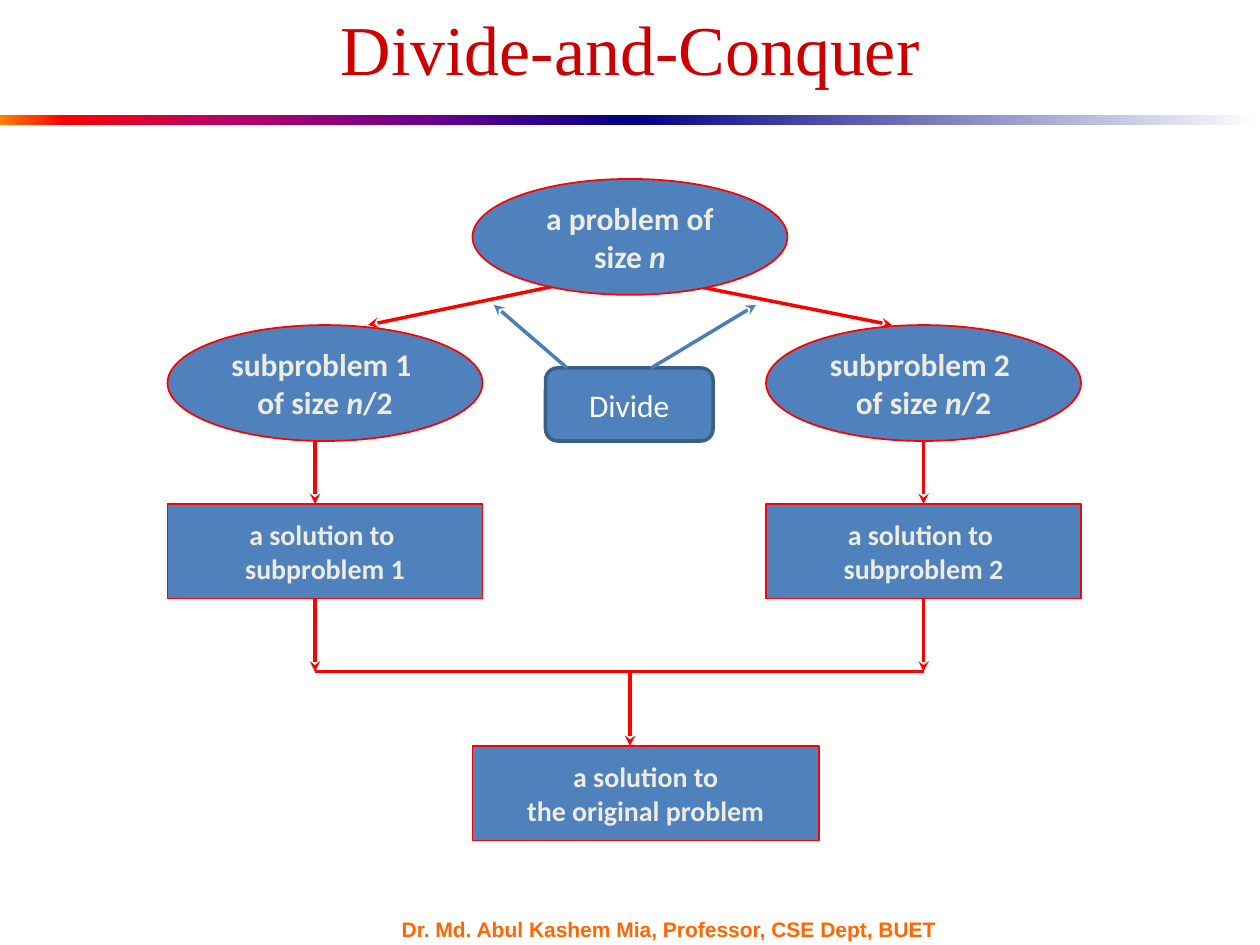
"""Build the Divide-and-Conquer flow slide."""
from dataclasses import dataclass

from lxml.etree import SubElement
from pptx import Presentation
from pptx.dml.color import RGBColor as Rgb
from pptx.enum.shapes import MSO_CONNECTOR as Link, MSO_SHAPE as Kind
from pptx.enum.text import MSO_ANCHOR as Anchor, PP_ALIGN as Align
from pptx.oxml.ns import qn
from pptx.util import Inches, Pt


@dataclass
class Theme:
    red: str = "FF0000"
    blue: str = "4F81BD"
    edge: str = "395E89"
    arrow: str = "4A7DBA"
    cream: str = "EEECE1"
    white: str = "FFFFFF"
    title: str = "CC0000"
    foot: str = "FF6600"
    head_size: int = 40
    big: int = 18
    mid: int = 16
    small: int = 12


theme = Theme()
deck = Presentation()
deck.slide_width, deck.slide_height = Inches(10), Inches(7.5)
shapes = deck.slides.add_slide(deck.slide_layouts[6]).shapes


def write(shape, text, face, size, color, bold, align=Align.CENTER, anchor=Anchor.MIDDLE):
    """Fill a shape with lines of text; words between stars are italic."""
    frame = shape.text_frame
    frame.word_wrap = True
    frame.vertical_anchor = anchor
    for i, line in enumerate(text.split("\n")):
        para = frame.add_paragraph() if i else frame.paragraphs[0]
        para.alignment = align
        font = para.font
        font.name, font.size, font.bold = face, Pt(size), bold
        font.color.rgb = Rgb.from_string(color)
        for j, part in enumerate(line.split("*")):
            run = para.add_run()
            run.text = part
            if j % 2:
                run.font.italic = True


def join(start, end, color=theme.red, head=True):
    """Draw a line from start to end, with an arrowhead if wanted."""
    line = shapes.add_connector(Link.STRAIGHT, *map(Inches, start + end))
    line.line.color.rgb = Rgb.from_string(color)
    line.line.width = Pt(2)
    props = line._element.spPr
    if head:
        SubElement(props.find(qn("a:ln")), qn("a:tailEnd"), type="stealth")
    SubElement(props, qn("a:effectLst"))


bars = [
    (0, [(0, "FF8200"), (10, "FF0000"), (35, "BA0066"), (70, "66008F"), (100, "000082")]),
    (5, [(0, "000082"), (100, "FFFFFF")]),
]
for left, stops in bars:
    bar = shapes.add_shape(Kind.RECTANGLE, *map(Inches, (left, 0.91, 5, 0.08)))
    bar.shadow.inherit = False
    bar.line.fill.background()
    bar.fill.gradient()
    bar.fill.gradient_angle = 0
    group = bar._element.spPr.find(qn("a:gradFill")).find(qn("a:gsLst"))
    for old in list(group):
        group.remove(old)
    for place, color in stops:
        stop = SubElement(group, qn("a:gs"), pos=str(place * 1000))
        SubElement(stop, qn("a:srgbClr"), val=color)

foot = shapes.add_textbox(*map(Inches, (3.09, 7.28, 4.67, 0.18)))
write(foot, "Dr. Md. Abul Kashem Mia, Professor, CSE Dept, BUET",
      "Arial", theme.small, theme.foot, True, Align.LEFT)
title = shapes.add_textbox(*map(Inches, (0.5, 0.25, 9, 0.51)))
write(title, "Divide-and-Conquer", "Times New Roman", theme.head_size,
      theme.title, False, anchor=Anchor.BOTTOM)

for end in (2.92, 7.08):
    join((4.5 if end < 5 else 5.42, 2.25), (end, 2.58))

oval, rect, big, mid = Kind.OVAL, Kind.RECTANGLE, theme.big, theme.mid
nodes = [
    (oval, 3.75, 1.42, 2.5, 0.92, big, "a problem of size *n*"),
    (rect, 3.75, 5.92, 2.75, 0.75, mid, "a solution to\nthe original problem"),
]
for num, left in ((1, 1.33), (2, 6.08)):
    nodes += [
        (oval, left, 2.58, 2.5, 0.92, big, f"subproblem {num} \nof size *n*/2"),
        (rect, left, 4, 2.5, 0.75, mid, f"a solution to \nsubproblem {num}"),
    ]
nodes.append((Kind.ROUNDED_RECTANGLE, 4.33, 2.92, 1.33, 0.58, big, "Divide"))
for kind, left, top, width, height, size, text in nodes:
    node = shapes.add_shape(kind, *map(Inches, (left, top, width, height)))
    node.shadow.inherit = False
    node.fill.solid()
    node.fill.fore_color.rgb = Rgb.from_string(theme.blue)
    label = text == "Divide"
    node.line.color.rgb = Rgb.from_string(theme.edge if label else theme.red)
    node.line.width = Pt(2 if label else 1)
    write(node, text, "Calibri", size, theme.white if label else theme.cream, not label)

for x in (2.5, 7.33):
    join((x, 3.5), (x, 4))
    join((x, 4.75), (x, 5.33))
join((2.5, 5.33), (7.33, 5.33), head=False)
join((5, 5.33), (5, 5.92))
join((4.5, 2.92), (3.92, 2.42), theme.arrow)
join((5.17, 2.92), (6, 2.42), theme.arrow)

deck.save("out.pptx")
